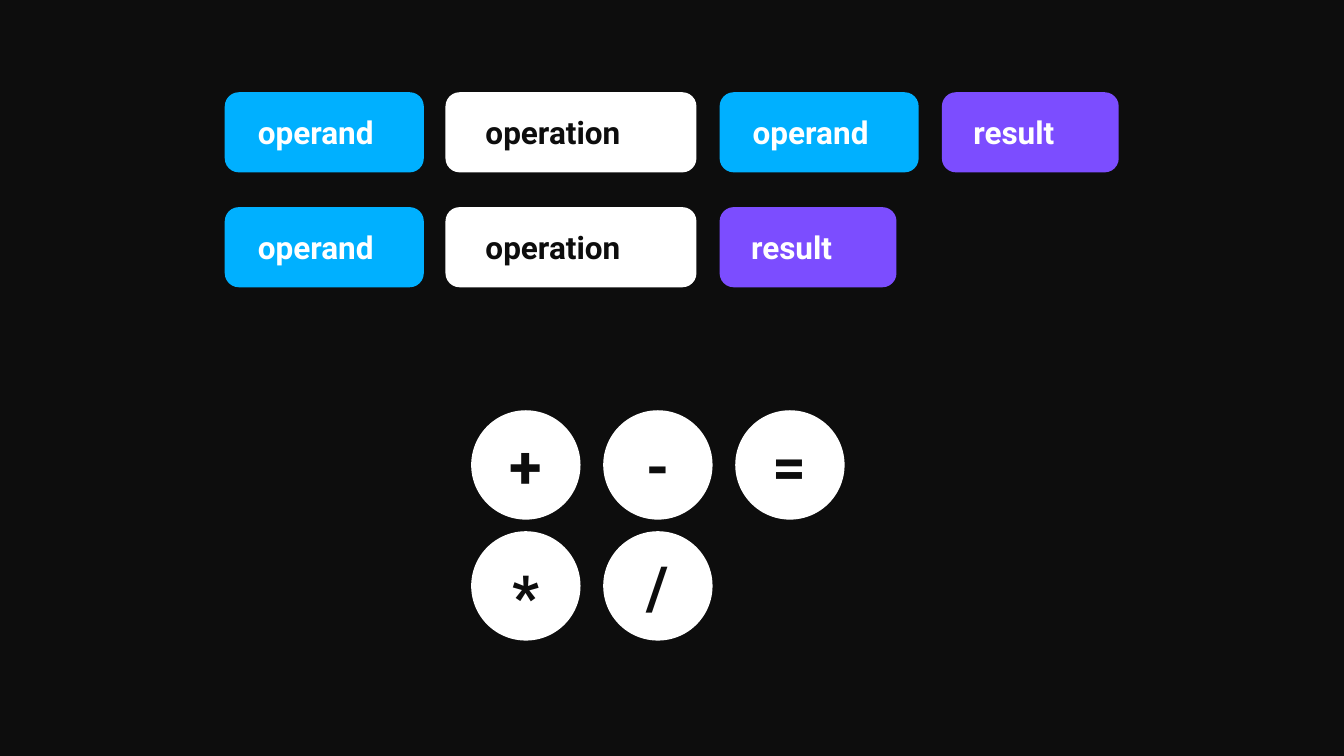
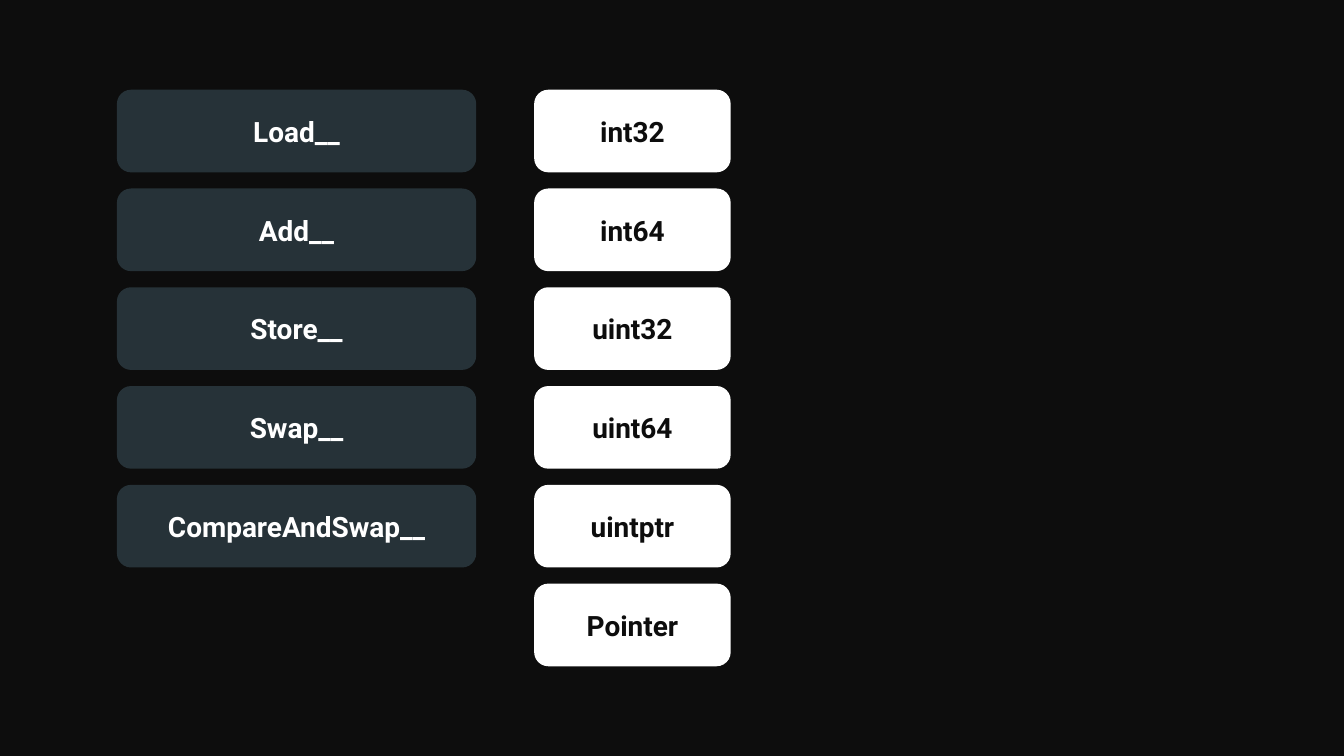
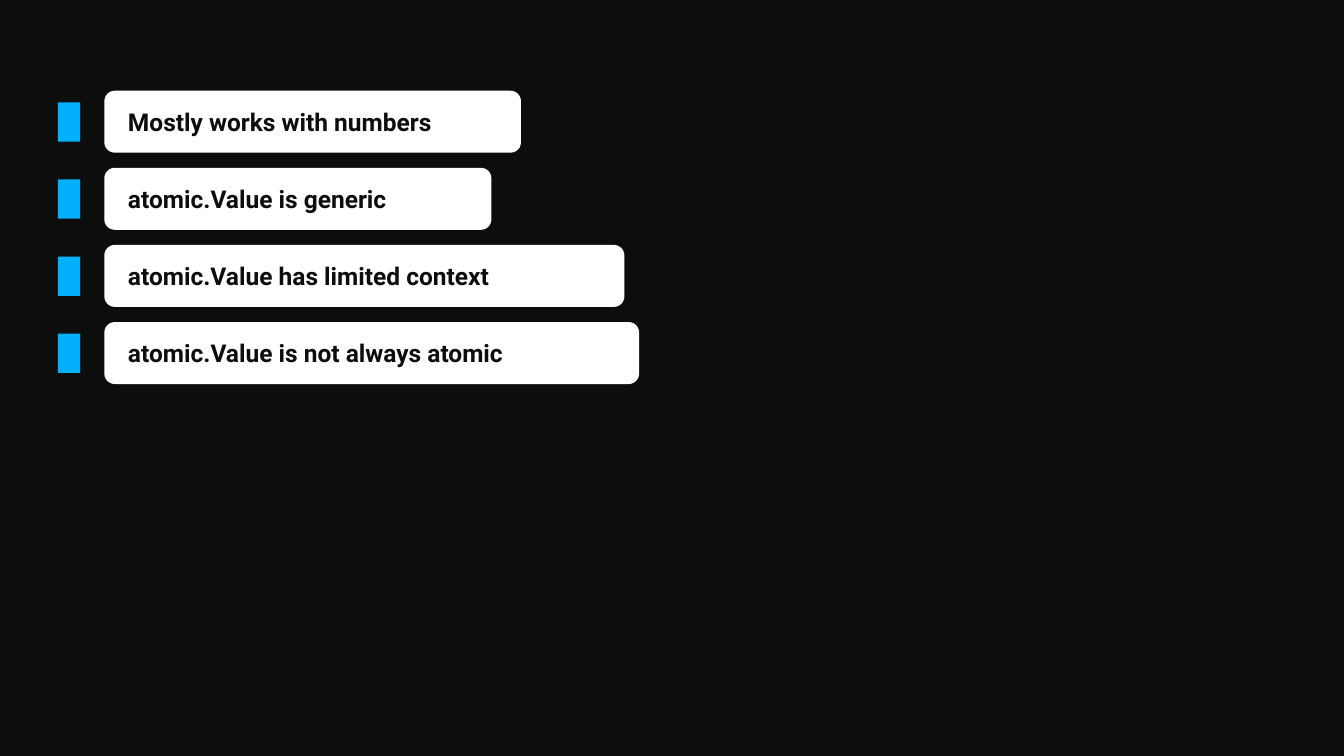
from pptx import Presentation
from pptx.dml.color import RGBColor
from pptx.enum.shapes import MSO_SHAPE
from pptx.enum.text import MSO_ANCHOR, MSO_AUTO_SIZE, PP_ALIGN
from pptx.util import Inches, Pt

ROUNDED, OVAL, RECT = MSO_SHAPE.ROUNDED_RECTANGLE, MSO_SHAPE.OVAL, MSO_SHAPE.RECTANGLE
LEFT, CENTER = PP_ALIGN.LEFT, PP_ALIGN.CENTER
MIDDLE = MSO_ANCHOR.MIDDLE
GROW = MSO_AUTO_SIZE.SHAPE_TO_FIT_TEXT

# Shared look
BLACK, WHITE, BLUE, PURPLE, SLATE = "0D0D0D", "FFFFFF", "00B0FF", "7C4DFF", "263238"
FONT = "Roboto"
INSET = 0.06
CHAR_EM, LINE_EM = 0.603, 1.345  # label width per letter and line height, in ems
FRAME_FORMAT = {
    "margin_left": Inches(INSET), "margin_right": Inches(INSET),
    "margin_top": Inches(INSET), "margin_bottom": Inches(INSET),
    "vertical_anchor": MIDDLE, "word_wrap": False, "auto_size": GROW,
}


def color(hex_value):
    return RGBColor.from_string(hex_value)


def label_size(text, size):
    em = size / 72
    return len(text) * CHAR_EM * em + 2 * INSET, LINE_EM * em + 2 * INSET


def add_slide(deck):
    slide = deck.slides.add_slide(deck.slide_layouts[6])
    slide.background.fill.solid()
    slide.background.fill.fore_color.rgb = color(BLACK)
    return slide


def add_block(slide, kind, box, fill, corner=None):
    block = slide.shapes.add_shape(kind, *map(Inches, box))
    block.shadow.inherit = False
    block.fill.solid()
    block.fill.fore_color.rgb = color(fill)
    block.line.fill.background()
    if corner is not None:
        block.adjustments[0] = corner


def add_label(slide, text, box, size, ink, align, drop=0):
    """Put a label in the middle of a box, optionally lowered by drop."""
    left, top, width, height = box
    label_width, label_height = label_size(text, size)
    label = slide.shapes.add_textbox(
        Inches(left + (width - label_width) / 2),
        Inches(top + (height - label_height) / 2 + drop),
        Inches(label_width), Inches(label_height))
    frame = label.text_frame
    for name, value in FRAME_FORMAT.items():
        setattr(frame, name, value)
    paragraph = frame.paragraphs[0]
    paragraph.alignment = align
    paragraph.space_before = Pt(34)
    run = paragraph.add_run()
    run.text = text
    font_format = {"name": FONT, "size": Pt(size), "bold": True}
    for name, value in font_format.items():
        setattr(run.font, name, value)
    run.font.color.rgb = color(ink)


def add_card(slide, text, box, fill, size, align, corner):
    add_block(slide, ROUNDED, box, fill, corner)
    add_label(slide, text, box, size, BLACK if fill == WHITE else WHITE, align)


def add_symbol(slide, symbol, left, top):
    box = (left, top, 2.17, 2.17)
    add_block(slide, OVAL, box, WHITE)
    add_label(slide, symbol, box, 85, BLACK, CENTER, 0.17 if symbol == "*" else 0)


def build_operations(deck):
    slide = add_slide(deck)
    # Expression patterns: binary, then unary
    roles = {"operand": (3.95, BLUE), "operation": (4.98, WHITE), "result": (3.51, PURPLE)}
    columns = (4.46, 8.84, 14.28, 18.69)
    patterns = {
        1.83: ("operand", "operation", "operand", "result"),
        4.11: ("operand", "operation", "result"),
    }
    for top, pattern in patterns.items():
        for left, role in zip(columns, pattern):
            width, fill = roles[role]
            add_card(slide, role, (left, top, width, 1.59), fill, 45, LEFT, 0.176)
    # Operator symbols
    for row, symbols in enumerate(("+-=", "*/")):
        for column, symbol in enumerate(symbols):
            add_symbol(slide, symbol, 9.35 + column * 2.62, 8.14 + row * 2.4)


def build_functions(deck):
    slide = add_slide(deck)
    functions = ("Load__", "Add__", "Store__", "Swap__", "CompareAndSwap__")
    types = ("int32", "int64", "uint32", "uint64", "uintptr", "Pointer")
    for names, left, width, fill in ((functions, 2.32, 7.13, SLATE), (types, 10.6, 3.9, WHITE)):
        for row, name in enumerate(names):
            box = (left, 1.78 + row * 1.96, width, 1.64)
            add_card(slide, name, box, fill, 40, CENTER, 0.171)


def build_limits(deck):
    slide = add_slide(deck)
    limits = (
        "Mostly works with numbers",
        "atomic.Value is generic",
        "atomic.Value has limited context",
        "atomic.Value is not always atomic",
    )
    for row, limit in enumerate(limits):
        top = 1.8 + row * 1.53
        width = label_size(limit, 35)[0] + 0.82
        add_card(slide, limit, (2.07, top, width, 1.23), WHITE, 35, LEFT, 0.169)
        add_block(slide, RECT, (1.15, top + 0.23, 0.44, 0.78), BLUE)


def main():
    deck = Presentation()
    deck.slide_width, deck.slide_height = Inches(26.67), Inches(15)
    build_operations(deck)
    build_functions(deck)
    build_limits(deck)
    deck.save("out.pptx")


if __name__ == "__main__":
    main()
